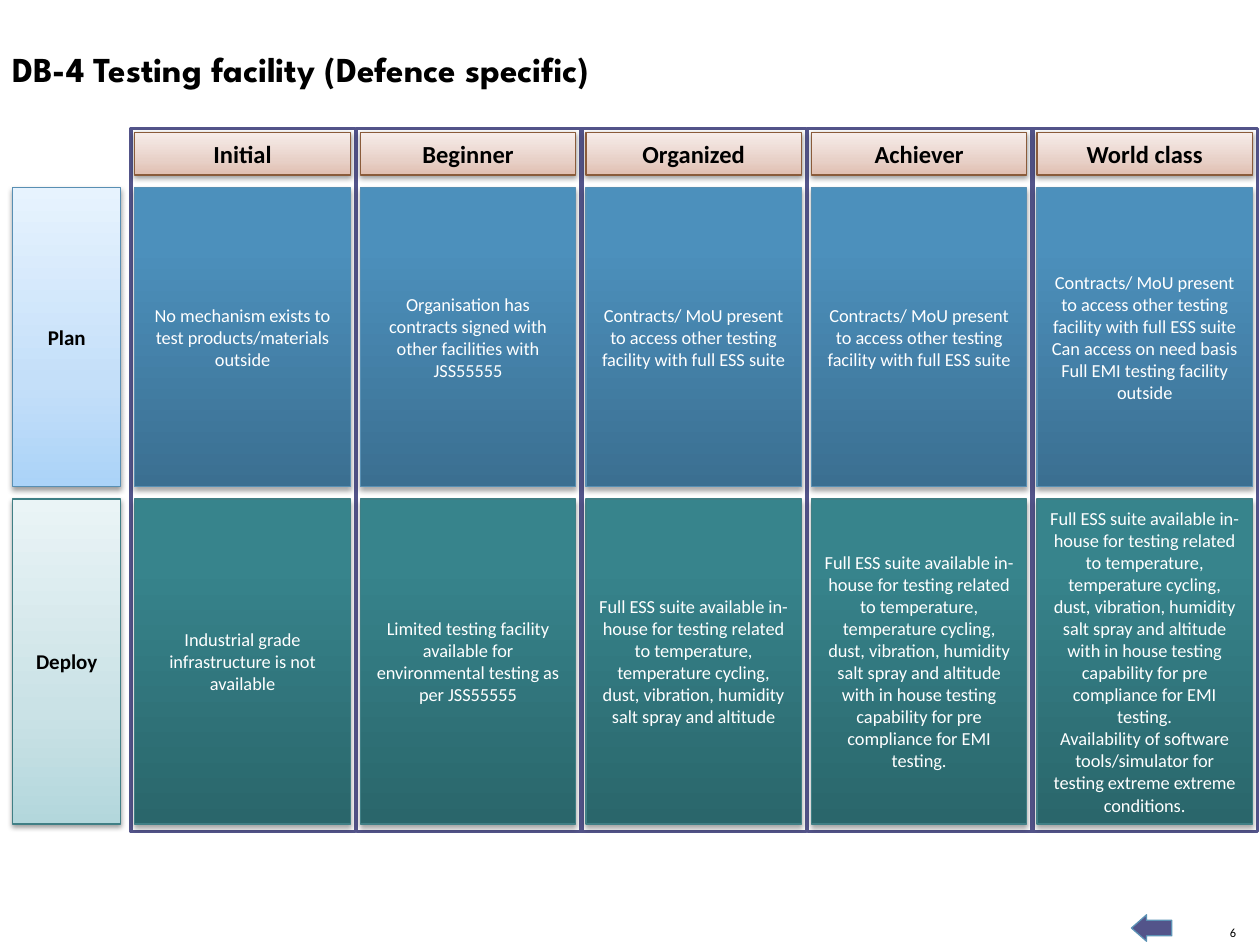
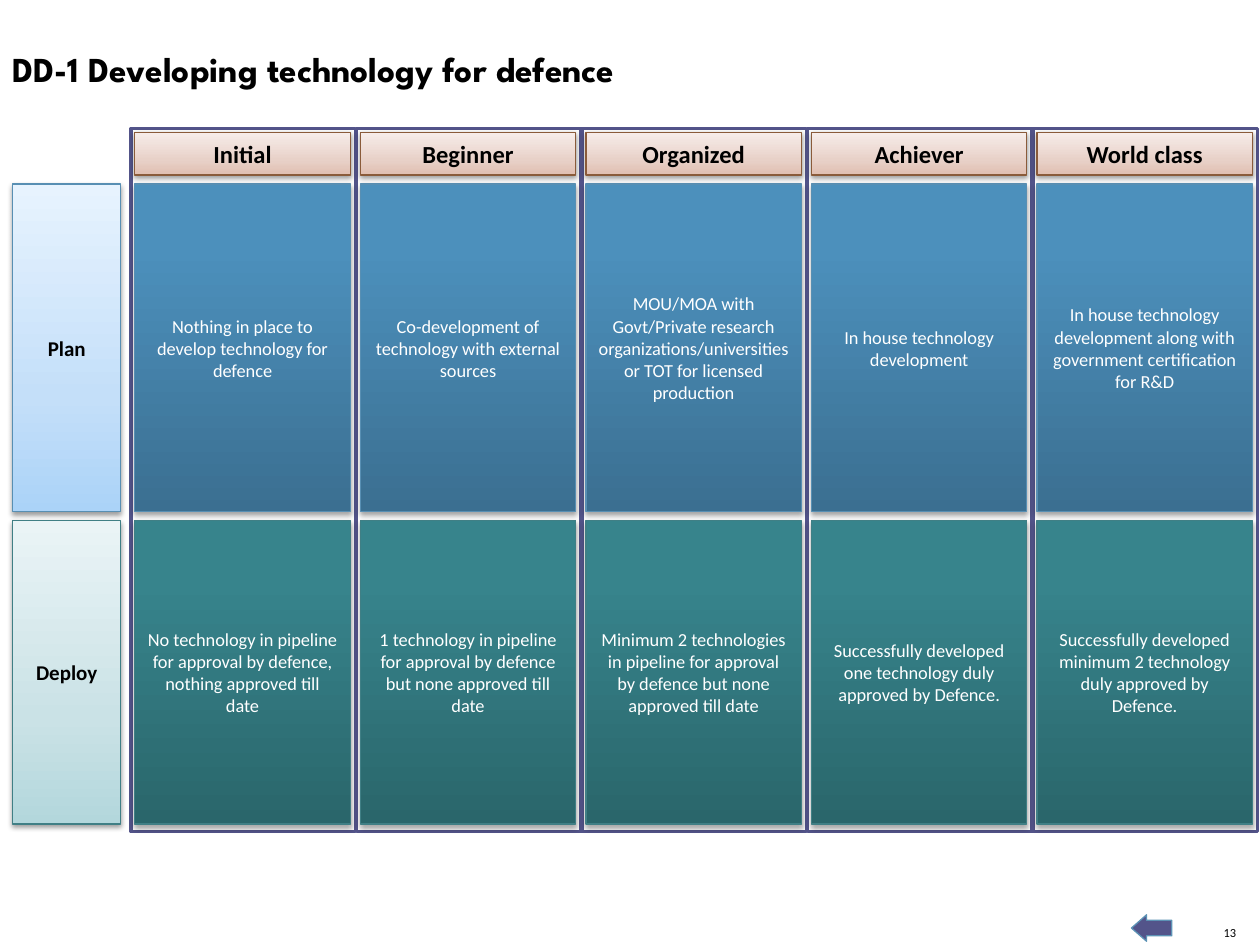
from lxml.etree import SubElement
from pptx import Presentation
from pptx.dml.color import RGBColor
from pptx.enum.shapes import MSO_SHAPE as Preset
from pptx.enum.text import MSO_ANCHOR as Anchor, MSO_AUTO_SIZE as AutoSize, PP_ALIGN as Align
from pptx.oxml.ns import qn
from pptx.util import Inches, Pt

BODY_FONT, TITLE_FONT = "Calibri", "League Spartan"
BLACK, WHITE, INDIGO = "000000", "FFFFFF", "53548A"
BLUE_EDGE, TEAL_EDGE, BROWN_EDGE = "588FB3", "407F85", "8A5B3A"

# Gradients run from bottom to top: (percent, colour)
HEADER_FILL = ((0, "E0BEB0"), (35, "E8D1C8"), (100, "F7EDEA"))
PLAN_LABEL_FILL = ((0, "ABD3F8"), (35, "C4DFF9"), (100, "E7F3FE"))
PLAN_FILL = ((0, "3B6F91"), (80, "4C90BC"), (100, "4A91BF"))
DEPLOY_LABEL_FILL = ((0, "B3D7DC"), (35, "CAE2E6"), (100, "EAF4F6"))
DEPLOY_FILL = ((0, "2A666B"), (80, "37848C"), (100, "36868E"))

ROW_STYLES = {
    "Plan": (PLAN_LABEL_FILL, PLAN_FILL, BLUE_EDGE),
    "Deploy": (DEPLOY_LABEL_FILL, DEPLOY_FILL, TEAL_EDGE),
}
LEVELS = ("Initial", "Beginner", "Organized", "Achiever", "World class")

FRAME_LEFT, FRAME_TOP, FRAME_WIDTH, FRAME_HEIGHT = 1.04, 1.02, 1.78, 5.58
PITCH = 1.79
INSET = 0.03
CELL_WIDTH = 1.71
HEADER_HEIGHT = 0.34
LABEL_LEFT, LABEL_WIDTH = 0.1, 0.86

MOU = "Contracts/ MoU present to access other testing facility with full ESS suite"
ESS = ("Full ESS suite available in-house for testing related to temperature, "
       "temperature cycling, dust, vibration, humidity salt spray and altitude")
ESS_EMI = ESS + " with in house testing capability for pre compliance for EMI testing."

MATRICES = (
    {
        "title": "DB-4 Testing facility (Defence specific)",
        "page": "6",
        "rows": (
            ("Plan", 1.49, 2.37, (
                "No mechanism exists to test products/materials outside",
                "Organisation has contracts signed with other facilities with JSS55555",
                MOU,
                MOU,
                MOU + "\nCan access on need basis Full EMI testing facility outside",
            )),
            ("Deploy", 3.96, 2.58, (
                "Industrial grade infrastructure is not available",
                "Limited testing facility available for environmental testing as per JSS55555",
                ESS,
                ESS_EMI,
                ESS_EMI + "\nAvailability of software tools/simulator for testing "
                "extreme extreme conditions.",
            )),
        ),
    },
    {
        "title": "DD-1 Developing technology for defence",
        "page": "13",
        "rows": (
            ("Plan", 1.46, 2.6, (
                "Nothing in place to develop technology for defence",
                "Co-development of technology with external sources",
                "MOU/MOA with Govt/Private research organizations/universities "
                "or TOT for licensed production",
                "In house technology development",
                "In house technology development along with government certification for R&D",
            )),
            ("Deploy", 4.13, 2.41, (
                "No technology in pipeline for approval by defence, nothing approved till date",
                "1 technology in pipeline for approval by defence but none approved till date",
                "Minimum 2 technologies in pipeline for approval by defence "
                "but none approved till date",
                "Successfully developed one technology duly approved by Defence.",
                "Successfully developed minimum 2 technology duly approved by Defence.",
            )),
        ),
    },
)


def color(hex_code):
    return RGBColor.from_string(hex_code)


def write(frame, text, *, size, font=BODY_FONT, ink=BLACK, bold=False,
          align=Align.CENTER, anchor=Anchor.MIDDLE, wrap=True):
    """Fill a text frame, one paragraph for each line of the text."""
    frame.word_wrap = wrap
    frame.vertical_anchor = anchor
    frame.text = text
    for paragraph in frame.paragraphs:
        paragraph.alignment = align
        for run in paragraph.runs:
            run.font.name = font
            run.font.size = Pt(size)
            run.font.bold = bold
            run.font.color.rgb = color(ink)


def add_color(parent, hex_code):
    return SubElement(parent, qn("a:srgbClr"), val=hex_code)


def set_gradient(shape, stops):
    shape.fill.gradient()
    shape.fill.gradient_angle = 90
    stop_list = shape.element.spPr.find(qn("a:gradFill")).find(qn("a:gsLst"))
    for default_stop in list(stop_list):
        stop_list.remove(default_stop)
    for percent, hex_code in stops:
        add_color(SubElement(stop_list, qn("a:gs"), pos=str(percent * 1000)), hex_code)


def set_shadow(shape, opacity, distance):
    """Cast a soft shadow straight down; opacity in percent, distance in points."""
    effects = shape.element.spPr.find(qn("a:effectLst"))
    shadow = SubElement(effects, qn("a:outerShdw"), blurRad=str(Pt(3.1)),
                        dist=str(Pt(distance)), dir="5400000", rotWithShape="0")
    SubElement(add_color(shadow, BLACK), qn("a:alpha"), val=str(opacity * 1000))


class MatrixDeck:
    """Holds the presentation, the current slide and the look of its parts."""

    def __init__(self):
        self.deck = Presentation()
        self.deck.slide_width, self.deck.slide_height = Inches(10), Inches(7.5)
        self.slide = None

    def new_slide(self):
        self.slide = self.deck.slides.add_slide(self.deck.slide_layouts[6])

    def shape(self, box, edge, weight=0.75, solid=None, preset=Preset.RECTANGLE):
        shape = self.slide.shapes.add_shape(preset, *map(Inches, box))
        shape.shadow.inherit = False
        shape.line.color.rgb = color(edge)
        shape.line.width = Pt(weight)
        if solid:
            shape.fill.solid()
            shape.fill.fore_color.rgb = color(solid)
        return shape

    def panel(self, box, text, stops, edge, opacity=38, distance=1.6, **text_format):
        panel = self.shape(box, edge)
        set_gradient(panel, stops)
        set_shadow(panel, opacity, distance)
        write(panel.text_frame, text, **text_format)

    def cell(self, box, text, stops, edge):
        self.panel(box, text, stops, edge, opacity=35, distance=1.8, size=10.5, ink=WHITE)

    def text_box(self, box, text, **text_format):
        frame = self.slide.shapes.add_textbox(*map(Inches, box)).text_frame
        write(frame, text, **text_format)
        frame.auto_size = AutoSize.SHAPE_TO_FIT_TEXT
        return frame

    def title(self, text):
        self.text_box((0, 0.33, 8.6, 0.44), text, size=20, font=TITLE_FONT, bold=True,
                      align=Align.LEFT, anchor=Anchor.TOP)

    def footer(self, page):
        number = self.text_box((9.69, 7.34, 0.12, 0.12), page, size=7.1,
                               align=Align.RIGHT, anchor=Anchor.BOTTOM, wrap=False)
        number.margin_left = number.margin_right = 0
        number.margin_top = number.margin_bottom = 0
        back_arrow = self.shape((8.98, 7.26, 0.32, 0.21), "5C92B5", solid=INDIGO,
                                preset=Preset.RIGHT_ARROW)
        back_arrow.rotation = 180
        back_arrow.adjustments[0], back_arrow.adjustments[1] = 0.59, 0.57

    def matrix(self, rows):
        for label, top, height, _ in rows:
            label_fill, _, edge = ROW_STYLES[label]
            self.panel((LABEL_LEFT, top, LABEL_WIDTH, height), label, label_fill, edge,
                       size=12, bold=True)

        frame_lefts = [FRAME_LEFT + column * PITCH for column in range(len(LEVELS))]
        for left in frame_lefts:
            self.shape((left, FRAME_TOP, FRAME_WIDTH, FRAME_HEIGHT), INDIGO,
                       weight=2, solid=WHITE)

        for label, top, height, texts in rows:
            _, cell_fill, edge = ROW_STYLES[label]
            for left, text in zip(frame_lefts, texts):
                self.cell((left + INSET, top, CELL_WIDTH, height), text, cell_fill, edge)

        for left, level in zip(frame_lefts, LEVELS):
            self.panel((left + INSET, FRAME_TOP + INSET, CELL_WIDTH, HEADER_HEIGHT), level,
                       HEADER_FILL, BROWN_EDGE, size=14, bold=True)


def main():
    builder = MatrixDeck()
    for content in MATRICES:
        builder.new_slide()
        builder.footer(content["page"])
        builder.title(content["title"])
        builder.matrix(content["rows"])
    builder.deck.save("out.pptx")


if __name__ == "__main__":
    main()
